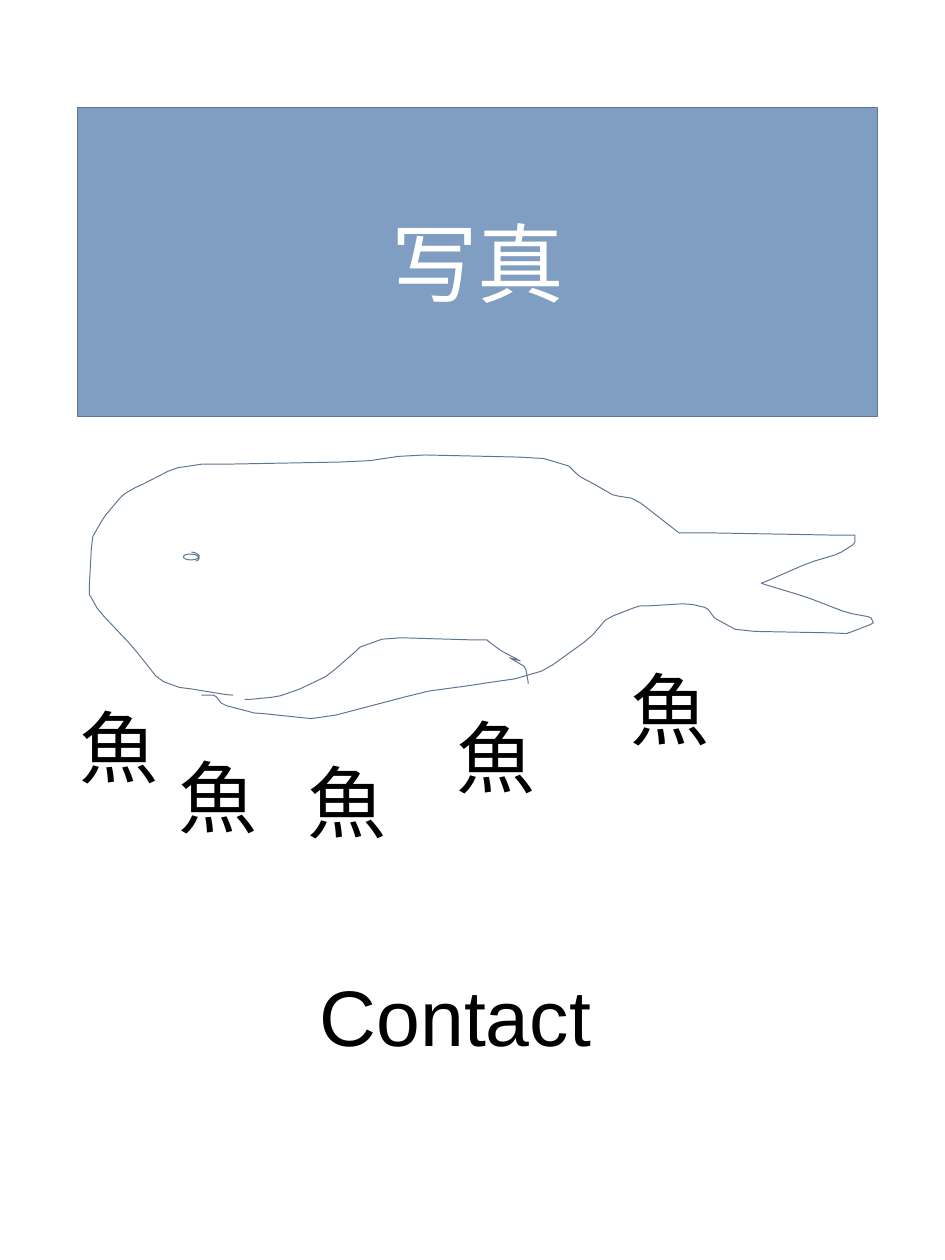
from itertools import pairwise
from math import cos, pi, sin
from pptx import Presentation
from pptx.util import Inches, Pt
from pptx.dml.color import RGBColor
from pptx.enum.shapes import MSO_SHAPE
from pptx.enum.text import MSO_ANCHOR, MSO_AUTO_SIZE, PP_ALIGN

COLS, ROWS = 1333, 1778
FONT, EDGE, FILL, LIGHT, DARK = "Arial", "5F7590", "809EC2", "FFFFFF", "000000"
CUT = 0.15
TURNS, STEPS = 1.4, 18

PARTS = {
    "jaw": [(203, 339), (132, 329), (100, 319), (61, 271), (13, 219), (0, 197)],
    "head": [(3, 119), (19, 90), (48, 55), (68, 45), (119, 19), (158, 13)],
    "back": [(387, 10), (445, 0), (635, 3), (677, 16)],
    "slope": [(690, 29), (713, 42), (742, 58), (769, 61), (832, 110)],
    "top": [(845, 110), (1080, 113)],
    "notch": [(1080, 125), (1058, 139), (1016, 152), (948, 181)],
    "fluke": [(1009, 200), (1071, 223), (1103, 229), (1106, 238), (1068, 252)],
    "stem": [(916, 248), (884, 232), (871, 216), (848, 210), (777, 213)],
    "rear": [(732, 229), (706, 258), (645, 303), (600, 316)],
    "belly": [(551, 323), (468, 335), (327, 373), (232, 364)],
    "chin": [(187, 352), (178, 339), (158, 339)],
}
FLAP = {
    "front": [(219, 345), (264, 342), (300, 329), (339, 310), (382, 271)],
    "crest": [(419, 258), (561, 261)],
    "barb": [(577, 274), (608, 291)],
    "hook": [(593, 286)],
    "tip": [(616, 300), (619, 323)],
}


def tint(code):
    return RGBColor.from_string(code)


def scale(box):
    left, top, wide, high = box
    return (round(deck.slide_width * left / COLS),
            round(deck.slide_height * top / ROWS),
            round(deck.slide_width * wide / COLS),
            round(deck.slide_height * high / ROWS))


def blend(start, end, share):
    return tuple(a + (b - a) * share for a, b in zip(start, end))


def soften(knots):
    dots = [knots[0]]
    for start, end in pairwise(knots):
        dots += [blend(start, end, CUT), blend(start, end, 1 - CUT)]
    return dots + [knots[-1]]


def join(parts):
    dots = []
    for knots in parts.values():
        dots += soften(dots[-1:] + knots)
    return dots


def curl(mid, wide, high):
    turns = [2 * pi * TURNS * step / STEPS for step in range(STEPS + 1)]
    return [(mid[0] + wide * cos(turn - pi / 2),
             mid[1] + high * sin(turn - pi / 2) + turn / 2) for turn in turns]


def write(frame, text, size, code, align):
    para = frame.paragraphs[0]
    para.alignment = align
    run = para.add_run()
    run.text = text
    run.font.name = FONT
    run.font.size = Pt(size)
    run.font.color.rgb = tint(code)


def edge(shape):
    shape.shadow.inherit = False
    shape.line.color.rgb = tint(EDGE)
    shape.line.width = Pt(1)


def draw(slide, box, dots):
    left, top, unit, rise = scale((*box[:2], 1, 1))
    pen = slide.shapes.build_freeform(*dots[0], scale=(unit, rise))
    pen.add_line_segments(dots[1:], close=False)
    shape = pen.convert_to_shape(left, top)
    edge(shape)
    shape.fill.background()


def whale(slide, box):
    wide, high = box[2:]
    eye = curl((wide * 0.13, high * 0.38), wide * 0.01, high * 0.013)
    for dots in (join(PARTS), eye, join(FLAP)):
        draw(slide, box, dots)


def photo(slide, box):
    shape = slide.shapes.add_shape(MSO_SHAPE.RECTANGLE, *scale(box))
    edge(shape)
    shape.fill.solid()
    shape.fill.fore_color.rgb = tint(FILL)
    shape.text_frame.vertical_anchor = MSO_ANCHOR.MIDDLE
    write(shape.text_frame, "写真", 88, LIGHT, PP_ALIGN.CENTER)


def label(slide, text, box):
    frame = slide.shapes.add_textbox(*scale(box)).text_frame
    frame.word_wrap = False
    frame.auto_size = MSO_AUTO_SIZE.SHAPE_TO_FIT_TEXT
    write(frame, text, 80, DARK, PP_ALIGN.LEFT)


def school(slide, box):
    left, top, wide, high = box
    spots = [(0, 53), (139, 124), (321, 131), (531, 67), (777, 0)]
    for right, down in spots:
        label(slide, "魚", (left + right, top + down, wide, high))


deck = Presentation()
deck.slide_width, deck.slide_height = Inches(13.33), Inches(17.78)
page = deck.slides.add_slide(deck.slide_layouts[6])
whale(page, (126, 642, 1107, 373))
photo(page, (110, 152, 1128, 436))
school(page, (103, 928, 132, 145))
label(page, "Contact", (441, 1361, 407, 145))
deck.save("out.pptx")
